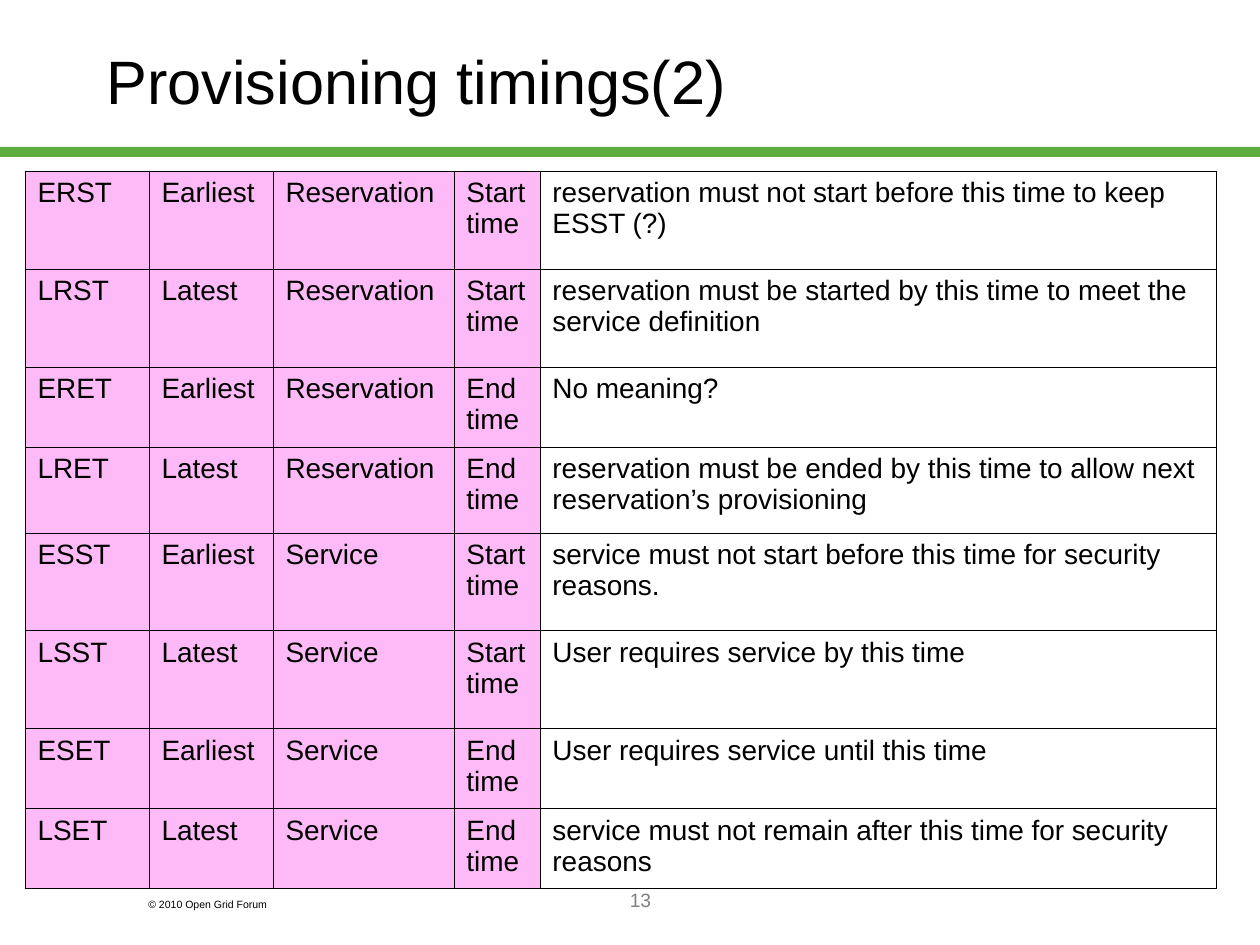
from dataclasses import dataclass

from lxml.etree import SubElement
from pptx import Presentation
from pptx.dml.color import RGBColor
from pptx.enum.shapes import MSO_SHAPE
from pptx.enum.text import MSO_ANCHOR, PP_ALIGN
from pptx.oxml.ns import qn
from pptx.util import Emu, Pt


@dataclass(frozen=True)
class Theme:
    font: str = "Arial"
    ink: str = "000000"
    muted: str = "808080"
    bar: str = "5DAD41"
    term: str = "FEBAF6"
    title_size: int = 35
    table_size: int = 16
    number_size: int = 11
    footer_size: int = 6
    border: float = 0.45


def px(n):
    return Emu(round(n * 914400 / 126))


class SlideBuilder:
    def __init__(self, slide, theme):
        self.s = slide
        self.theme = theme

    def format_text(self, tf, size, color, align=PP_ALIGN.LEFT):
        for p in tf.paragraphs:
            p.alignment = align
            for r in p.runs:
                r.font.name = self.theme.font
                r.font.size = Pt(size)
                r.font.color.rgb = RGBColor.from_string(color)

    def bar(self, x, y, w, h, color):
        sp = self.s.shapes.add_shape(MSO_SHAPE.RECTANGLE, px(x), px(y), px(w), px(h))
        sp.shadow.inherit = False
        sp.fill.solid()
        sp.fill.fore_color.rgb = RGBColor.from_string(color)
        sp.line.fill.background()

    def text(self, x, y, w, h, text, size, color,
             align=PP_ALIGN.LEFT, anchor=MSO_ANCHOR.TOP):
        tf = self.s.shapes.add_textbox(px(x), px(y), px(w), px(h)).text_frame
        tf.word_wrap = True
        tf.vertical_anchor = anchor
        tf.text = text
        self.format_text(tf, size, color, align)

    def cell_borders(self, cell):
        tc_pr = cell._tc.get_or_add_tcPr()
        for side in ("a:lnL", "a:lnR", "a:lnT", "a:lnB"):
            ln = SubElement(tc_pr, qn(side), w=str(Pt(self.theme.border)))
            fill = SubElement(ln, qn("a:solidFill"))
            SubElement(fill, qn("a:srgbClr"), val=self.theme.ink)

    def table(self, x, y, col_widths, row_heights, rows):
        tbl = self.s.shapes.add_table(
            len(rows), len(col_widths), px(x), px(y),
            px(sum(col_widths)), px(sum(row_heights))).table
        tbl.first_row = tbl.horz_banding = False
        for col, w in zip(tbl.columns, col_widths):
            col.width = px(w)
        for row, h, values in zip(tbl.rows, row_heights, rows):
            row.height = px(h)
            for i, (cell, value) in enumerate(zip(row.cells, values)):
                cell.text_frame.text = value
                self.format_text(cell.text_frame, self.theme.table_size, self.theme.ink)
                self.cell_borders(cell)
                if i < len(values) - 1:
                    cell.fill.solid()
                    cell.fill.fore_color.rgb = RGBColor.from_string(self.theme.term)
                else:
                    cell.fill.background()


MEANINGS = {
    "ERST": "reservation must not start before this time to keep ESST (?)",
    "LRST": "reservation must be started by this time to meet the service definition",
    "ERET": "No meaning?",
    "LRET": "reservation must be ended by this time to allow next reservation’s provisioning",
    "ESST": "service must not start before this time for security reasons.",
    "LSST": "User requires service by this time",
    "ESET": "User requires service until this time",
    "LSET": "service must not remain after this time for security reasons",
}
BOUNDS = {"E": "Earliest", "L": "Latest"}
SUBJECTS = {"R": "Reservation", "S": "Service"}
EVENTS = {"S": "Start time", "E": "End time"}


def main():
    prs = Presentation()
    prs.slide_width, prs.slide_height = px(1260), px(945)
    theme = Theme()
    b = SlideBuilder(prs.slides.add_slide(prs.slide_layouts[6]), theme)

    b.bar(0, 147, 1260, 10, theme.bar)
    b.text(136, 892, 189, 25, "© 2010 Open Grid Forum", theme.footer_size, theme.ink)
    b.text(94, 21, 1071, 117, "Provisioning timings(2)", theme.title_size, theme.ink,
           anchor=MSO_ANCHOR.MIDDLE)
    rows = [(code, BOUNDS[code[0]], SUBJECTS[code[1]], EVENTS[code[2]], meaning)
            for code, meaning in MEANINGS.items()]
    b.table(25, 171, [124, 124, 181, 86, 676],
            [98, 98, 80, 86, 98, 98, 80, 80], rows)
    b.text(273, 882, 735, 63, "13", theme.number_size, theme.muted, PP_ALIGN.CENTER)
    prs.save("out.pptx")


if __name__ == "__main__":
    main()
